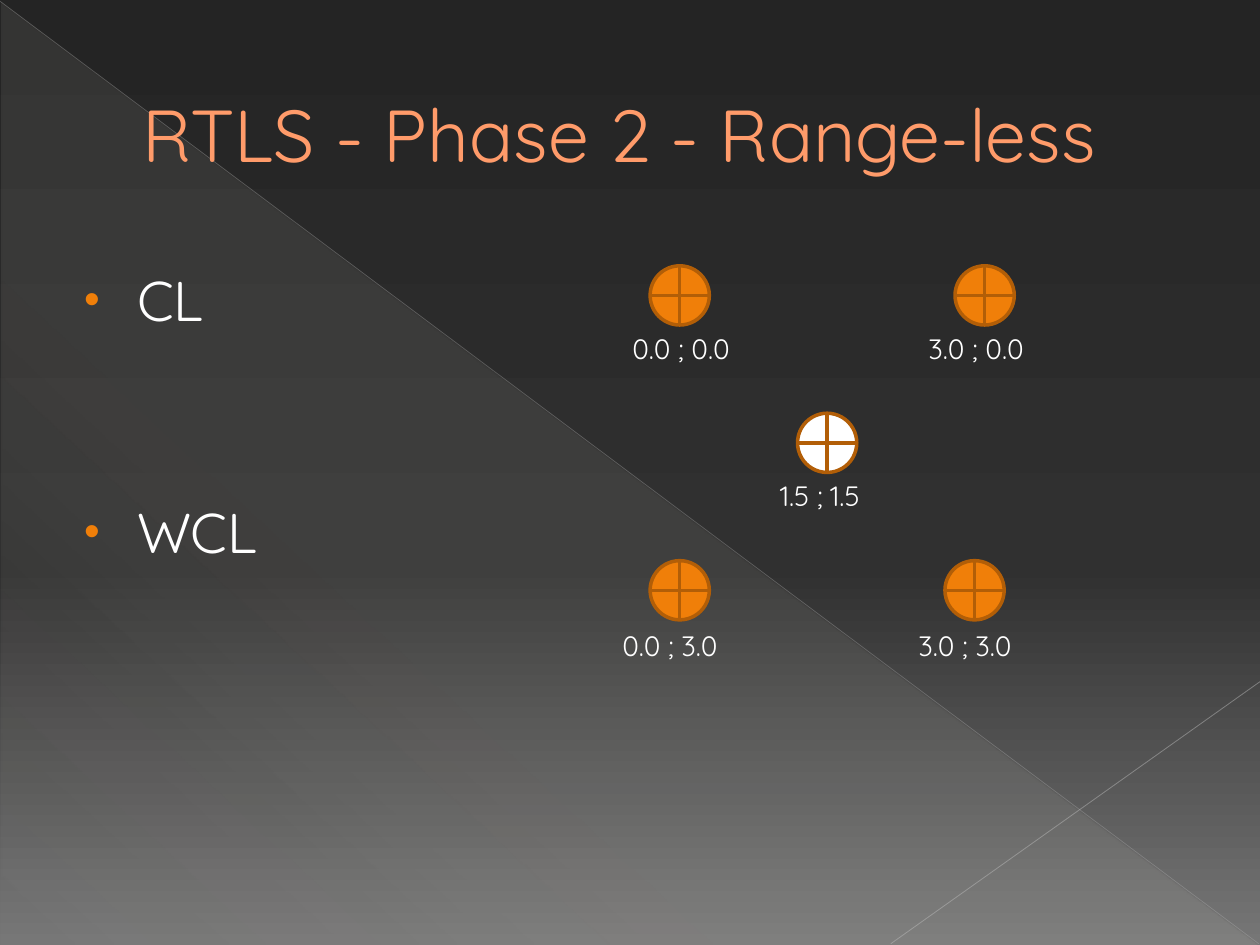
from dataclasses import dataclass

from lxml import etree
from pptx import Presentation
from pptx.dml.color import RGBColor
from pptx.enum.shapes import MSO_CONNECTOR, MSO_SHAPE
from pptx.enum.text import MSO_ANCHOR, MSO_AUTO_SIZE
from pptx.oxml.ns import qn
from pptx.util import Inches, Pt

LINE = MSO_CONNECTOR.STRAIGHT
NODE = MSO_SHAPE.FLOWCHART_OR
TRIANGLE = MSO_SHAPE.RIGHT_TRIANGLE
MIDDLE = MSO_ANCHOR.MIDDLE
GROW = MSO_AUTO_SIZE.SHAPE_TO_FIT_TEXT

FONT = "Quicksand"
WHITE = "FFFFFF"
ORANGE = "F07F09"
NODE_LINE = "B25E07"
NODE_SIZE = 0.47


@dataclass
class Stop:
    position: int
    color: str
    alpha: int = 100


@dataclass
class Node:
    label: str
    left: float
    top: float
    label_left: float
    label_top: float
    color: str = ORANGE


NODES = [
    Node("0.0 ; 0.0", 5.16, 2.11, 4.92, 2.58),
    Node("3.0 ; 0.0", 7.58, 2.11, 7.27, 2.58),
    Node("0.0 ; 3.0", 5.16, 4.45, 4.84, 4.94),
    Node("3.0 ; 3.0", 7.5, 4.45, 7.19, 4.94),
    Node("1.5 ; 1.5", 6.33, 3.28, 6.09, 3.75, WHITE),
]


def rgb(color: str) -> RGBColor:
    return RGBColor.from_string(color)


def set_alpha(color_element, percent: int) -> None:
    etree.SubElement(color_element, qn("a:alpha"), val=str(percent * 1000))


def set_gradient(fill, owner, stops: list[Stop], clockwise_angle: int) -> None:
    """Fill with any number of stops; owner is the XML element holding the fill."""
    fill.gradient()
    fill.gradient_angle = 360 - clockwise_angle
    stop_list = owner.find(".//" + qn("a:gsLst"))
    for old_stop in list(stop_list):
        stop_list.remove(old_stop)
    for stop in stops:
        item = etree.SubElement(stop_list, qn("a:gs"), pos=str(stop.position * 1000))
        set_alpha(etree.SubElement(item, qn("a:srgbClr"), val=stop.color), stop.alpha)


def add_line(page, start: tuple, end: tuple, color: str, width: float, alpha: int) -> None:
    line = page.shapes.add_connector(LINE, *map(Inches, start + end))
    line.line.color.rgb = rgb(color)
    line.line.width = Pt(width)
    properties = line._element.spPr
    set_alpha(properties.find(".//" + qn("a:srgbClr")), alpha)
    etree.SubElement(properties, qn("a:effectLst"))


def add_box(page, left: float, top: float, width: float, height: float):
    box = page.shapes.add_textbox(*map(Inches, (left, top, width, height)))
    box.text_frame.word_wrap = True
    return box.text_frame


def add_span(para, text: str, size: float, color: str) -> None:
    span = para.add_run()
    span.text = text
    span.font.name = FONT
    span.font.size = Pt(size)
    span.font.color.rgb = rgb(color)


def set_indent(para, margin: float, first_line: float = 0) -> None:
    properties = para._p.get_or_add_pPr()
    properties.set("marL", str(Inches(margin)))
    properties.set("indent", str(Inches(first_line)))


def add_bullet(para) -> None:
    set_indent(para, 0.49, -0.42)
    properties = para._p.get_or_add_pPr()
    color = etree.SubElement(properties, qn("a:buClr"))
    etree.SubElement(color, qn("a:srgbClr"), val=ORANGE)
    etree.SubElement(properties, qn("a:buSzPct"), val="80000")
    etree.SubElement(properties, qn("a:buFont"), typeface="Arial")
    etree.SubElement(properties, qn("a:buChar"), char="•")


def add_backdrop(page) -> None:
    set_gradient(page.background.fill, page._element,
                 [Stop(0, "242424"), Stop(60, "303030"), Stop(100, "767676")], 90)
    triangle = page.shapes.add_shape(TRIANGLE, *map(Inches, (0.01, 0.02, 9.98, 7.48)))
    triangle.shadow.inherit = False
    triangle.line.fill.background()
    set_gradient(triangle.fill, triangle._element,
                 [Stop(0, "E3DED1", 10), Stop(70, "E3DED1", 8), Stop(100, "E3DED1", 1)], 133)
    add_line(page, (0, 0.01), (9.99, 7.49), "B6B6B6", 0.39, 35)
    add_line(page, (10, 5.41), (7.07, 7.49), "BFBFBF", 0.47, 45)


def add_title(page, text: str) -> None:
    frame = add_box(page, 0.5, 0.29, 9, 1.53)
    frame.vertical_anchor = MIDDLE
    set_indent(frame.paragraphs[0], 0.53)
    add_span(frame.paragraphs[0], text, 42, "FF9B6A")


def add_methods(page, names: list[str]) -> None:
    frame = add_box(page, 0.5, 2.06, 9, 5)
    for index, name in enumerate(names):
        para = frame.add_paragraph() if index else frame.paragraphs[0]
        para.space_before = Pt(94 if index else 0)
        add_bullet(para)
        add_span(para, name, 32, WHITE)


def add_node(page, node: Node) -> None:
    circle = page.shapes.add_shape(
        NODE, *map(Inches, (node.left, node.top, NODE_SIZE, NODE_SIZE)))
    circle.shadow.inherit = False
    circle.fill.solid()
    circle.fill.fore_color.rgb = rgb(node.color)
    circle.line.color.rgb = rgb(NODE_LINE)
    circle.line.width = Pt(2)

    frame = add_box(page, node.label_left, node.label_top, 1.01, 0.37)
    frame.word_wrap = False
    frame.auto_size = GROW
    add_span(frame.paragraphs[0], node.label, 16, WHITE)


def main() -> None:
    deck = Presentation()
    deck.slide_width, deck.slide_height = Inches(10), Inches(7.5)
    page = deck.slides.add_slide(deck.slide_layouts[6])
    add_backdrop(page)
    add_title(page, "RTLS - Phase 2 - Range-less")
    add_methods(page, ["CL", "WCL"])
    for node in NODES:
        add_node(page, node)
    deck.save("out.pptx")


if __name__ == "__main__":
    main()
